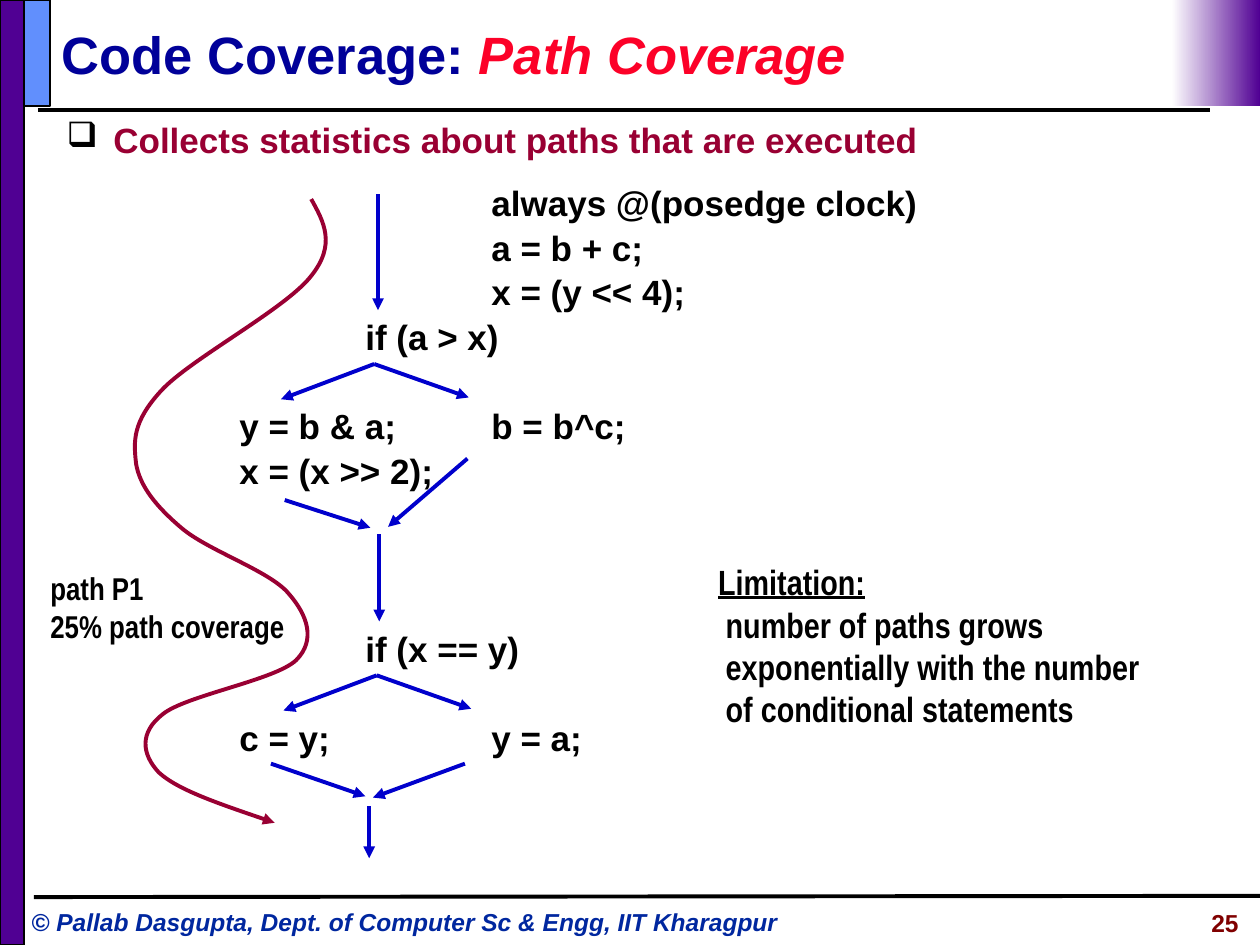
from dataclasses import dataclass

import pptx
import pptx.dml.color
import pptx.enum.dml
import pptx.enum.shapes
import pptx.enum.text
import pptx.oxml
import pptx.oxml.ns
import pptx.util


@dataclass(frozen=True)
class Theme:
    ink: str = "000000"
    paper: str = "FFFFFF"
    violet: str = "500093"
    sky: str = "618FFD"
    title: str = "000099"
    accent: str = "FC0128"
    crimson: str = "990033"
    flow: str = "0000CC"
    footer: str = "00279F"
    number: str = "800000"
    font: str = "Arial"
    narrow: str = "Arial Narrow"
    title_size: int = 30
    body_size: int = 20
    note_size: int = 18
    footer_size: int = 14
    code_pitch: float = 25.5
    stroke: float = 2.25


@dataclass(frozen=True)
class Grid:
    left: float
    top: float
    column: float
    row: float

    def at(self, column, row):
        return (pptx.util.Inches(self.left + column * self.column),
                pptx.util.Inches(self.top + row * self.row))

    def size(self, columns, rows):
        return pptx.util.Inches(columns * self.column), pptx.util.Inches(rows * self.row)


THEME = Theme()
PAGE = Grid(0, 0, 1, 1)
CODE = Grid(1.9, 1.42, 1, 0.354)
TRACE = Grid(1.05, 1.58, 0.1, 0.1)

TRACE_START = (14.2, 0)
TRACE_CURVES = [
    (15.2, 1.8), (16.2, 3.6), (14.2, 6.1),
    (12.2, 8.7), (4.6, 12.7), (2.3, 15.2),
    (0, 17.7), (0.1, 19.2), (0.3, 21),
    (0.6, 22.8), (1.9, 24.4), (3.9, 26.1),
    (6, 27.9), (10.9, 29.5), (12.4, 31.3),
    (13.9, 33), (14.6, 35), (13, 36.6),
    (11.3, 38.2), (4.2, 39.4), (2.4, 40.9),
    (0.6, 42.3), (0.7, 44), (2.1, 45.5),
    (3.6, 46.9), (7.5, 48.2), (11.3, 49.5),
]


def rgb(color):
    return pptx.dml.color.RGBColor.from_string(color)


def add_run(paragraph, text, size=THEME.body_size, color=THEME.ink, font=THEME.font,
            italic=False, underline=False):
    run = paragraph.add_run()
    run.text = text
    run.font.name, run.font.size = font, pptx.util.Pt(size)
    run.font.bold, run.font.italic, run.font.underline = True, italic, underline
    run.font.color.rgb = rgb(color)


def add_text(slide, grid, place, extent, lines, align="LEFT", pitch=None, **style):
    frame = slide.shapes.add_textbox(*grid.at(*place), *grid.size(*extent)).text_frame
    frame.word_wrap = True
    frame.margin_left = frame.margin_right = frame.margin_top = frame.margin_bottom = 0
    for index, line in enumerate(lines):
        paragraph = frame.add_paragraph() if index else frame.paragraphs[0]
        paragraph.alignment = getattr(pptx.enum.text.PP_ALIGN, align)
        if pitch:
            paragraph.line_spacing = pptx.util.Pt(pitch)
        add_run(paragraph, line, **style)
    return frame


def style_line(shape, color, arrow=False):
    shape.line.color.rgb = rgb(color)
    shape.line.width = pptx.util.Pt(THEME.stroke)
    properties = shape._element.spPr
    if arrow:
        tail = pptx.oxml.parse_xml(
            f'<a:tailEnd {pptx.oxml.ns.nsdecls("a")} type="triangle"/>')
        shape.line._get_or_add_ln().append(tail)
    if properties.find(pptx.oxml.ns.qn("a:effectLst")) is None:
        properties.append(pptx.oxml.parse_xml(
            f'<a:effectLst {pptx.oxml.ns.nsdecls("a")}/>'))


def add_line(slide, grid, start, end, color=THEME.ink, arrow=False):
    connector = slide.shapes.add_connector(
        pptx.enum.shapes.MSO_CONNECTOR.STRAIGHT, *grid.at(*start), *grid.at(*end))
    style_line(connector, color, arrow)


def add_panel(slide, place, extent, color=None):
    panel = slide.shapes.add_shape(
        pptx.enum.shapes.MSO_SHAPE.RECTANGLE, *PAGE.at(*place), *PAGE.size(*extent))
    panel.shadow.inherit = False
    if color:
        panel.fill.solid()
        panel.fill.fore_color.rgb = rgb(color)
        panel.line.color.rgb = rgb(THEME.ink)
        panel.line.width = pptx.util.Pt(1)
    else:
        panel.fill.gradient()
        panel.fill.gradient_angle = 0
        for stop, stop_color in zip(panel.fill.gradient_stops, (THEME.paper, THEME.violet)):
            stop.color.rgb = rgb(stop_color)
        panel.line.fill.background()


def draw_frame(slide):
    add_line(slide, PAGE, (0.3, 0.87), (9.6, 0.87))
    add_panel(slide, (0, 0), (0.19, 7.5), THEME.violet)
    add_line(slide, PAGE, (0.27, 7.12), (10, 7.11))
    add_panel(slide, (0.19, 0), (0.21, 0.84), THEME.sky)
    add_panel(slide, (9.3, 0), (0.7, 0.84))
    add_text(slide, PAGE, (0.25, 7.2), (6.3, 0.25),
             ["© Pallab Dasgupta, Dept. of Computer Sc & Engg, IIT Kharagpur"],
             size=THEME.footer_size, color=THEME.footer, italic=True)
    add_text(slide, PAGE, (8.28, 7.21), (1.55, 0.25), ["25"], align="RIGHT",
             size=THEME.footer_size, color=THEME.number)


def draw_title(slide):
    title = slide.shapes.title
    title.left, title.top = PAGE.at(0.39, 0.12)
    title.width, title.height = PAGE.size(9.1, 0.61)
    title.text_frame.vertical_anchor = pptx.enum.text.MSO_ANCHOR.MIDDLE
    paragraph = title.text_frame.paragraphs[0]
    paragraph.alignment = pptx.enum.text.PP_ALIGN.LEFT
    add_run(paragraph, "Code Coverage: ", size=THEME.title_size, color=THEME.title)
    add_run(paragraph, "Path Coverage", size=THEME.title_size, color=THEME.accent, italic=True)


def draw_summary(slide):
    frame = add_text(slide, PAGE, (0.53, 0.92), (8.96, 0.36),
                     ["Collects statistics about paths that are executed"],
                     pitch=THEME.code_pitch, color=THEME.crimson)
    properties = frame.paragraphs[0]._p.get_or_add_pPr()
    indent = pptx.util.Inches(0.37)
    properties.set("marL", str(indent))
    properties.set("indent", str(-indent))
    namespace = pptx.oxml.ns.nsdecls("a")
    properties.append(pptx.oxml.parse_xml(
        f'<a:buClr {namespace}><a:srgbClr val="{THEME.ink}"/></a:buClr>'))
    properties.append(pptx.oxml.parse_xml(f'<a:buChar {namespace} char="❑"/>'))


def draw_flow(slide, grid):
    blocks = [
        (2, 0, ["always @(posedge clock)", "a = b + c;", "x = (y << 4);"]),
        (1, 3, ["if (a > x)"]),
        (0, 5, ["y = b & a;", "x = (x >> 2);"]),
        (2, 5, ["b = b^c;"]),
        (1, 10, ["if (x == y)"]),
        (0, 12, ["c = y;"]),
        (2, 12, ["y = a;"]),
    ]
    for column, row, lines in blocks:
        width = 4 if row == 0 else 1.9
        add_text(slide, grid, (column, row), (width, len(lines)), lines,
                 pitch=THEME.code_pitch)
    forks = [((x, y), (x + across, y + down))
             for x, y in ((1.07, 4.15), (1.09, 11.13))
             for across, down in ((-0.74, 0.79), (0.75, 0.75))]
    merges = [((0.36, 7.2), (1.04, 7.82)), ((1.81, 6.27), (1.18, 7.8)),
              ((0.25, 13.11), (1, 13.84)), ((1.79, 13.11), (1.06, 13.87))]
    descents = [((x, top), (x, bottom)) for x, top, bottom in
                ((1.1, 0.34, 2.94), (1.11, 7.97, 9.92), (1.03, 14.07, 15.23))]
    for start, end in forks + merges + descents:
        add_line(slide, grid, start, end, THEME.flow, arrow=True)


def draw_trace(slide, grid):
    builder = slide.shapes.build_freeform(*grid.at(*TRACE_START))
    builder.add_line_segments([grid.at(*point) for point in TRACE_CURVES], close=False)
    trace = builder.convert_to_shape()
    segments = list(trace._element.iter(pptx.oxml.ns.qn("a:lnTo")))
    for first in range(0, len(segments), 3):
        curve = pptx.oxml.parse_xml(f'<a:cubicBezTo {pptx.oxml.ns.nsdecls("a")}/>')
        segments[first].addprevious(curve)
        for segment in segments[first:first + 3]:
            curve.append(segment[0])
            segment.getparent().remove(segment)
    trace.fill.background()
    style_line(trace, THEME.crimson, arrow=True)


def draw_notes(slide):
    add_text(slide, PAGE, (0.4, 4.52), (1.95, 0.6), ["path P1", "25% path coverage"],
             font=THEME.narrow, size=THEME.note_size)
    add_text(slide, PAGE, (5.7, 4.45), (3.4, 0.34), ["Limitation:"],
             font=THEME.narrow, underline=True)
    add_text(slide, PAGE, (5.76, 4.79), (3.5, 1.01),
             ["number of paths grows", "exponentially with the number",
              "of conditional statements"], font=THEME.narrow)


def main():
    presentation = pptx.Presentation()
    presentation.slide_width, presentation.slide_height = PAGE.size(10, 7.5)
    slide = presentation.slides.add_slide(presentation.slide_layouts[5])
    draw_frame(slide)
    draw_title(slide)
    draw_summary(slide)
    draw_flow(slide, CODE)
    draw_trace(slide, TRACE)
    draw_notes(slide)
    presentation.save("out.pptx")


if __name__ == "__main__":
    main()
